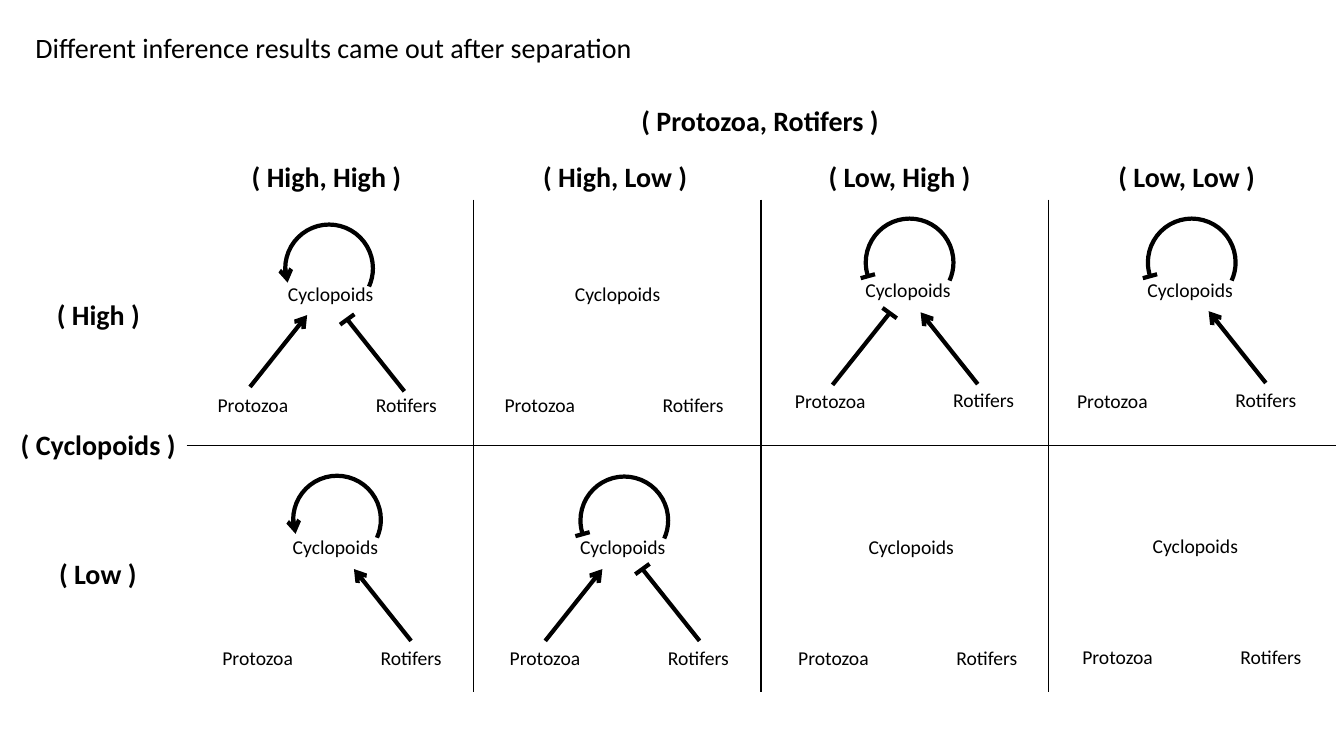
"""Build a slide comparing inferred plankton interactions by abundance class."""
from lxml.etree import SubElement
from pptx import Presentation
from pptx.dml.color import RGBColor
from pptx.enum.shapes import MSO_CONNECTOR, MSO_SHAPE
from pptx.enum.text import MSO_ANCHOR, PP_ALIGN
from pptx.oxml.ns import qn
from pptx.util import Cm, Pt

BLACK = "000000"


def write_text(box, text, size=20, bold=False, align=PP_ALIGN.CENTER, color=BLACK):
    frame = box.text_frame
    frame.word_wrap = False
    frame.vertical_anchor = MSO_ANCHOR.TOP
    para = frame.paragraphs[0]
    para.alignment = align
    span = para.add_run()
    span.text = text
    span.font.name = "Calibri"
    span.font.size = Pt(size)
    span.font.bold = bold
    span.font.color.rgb = RGBColor.from_string(color)


def style_stroke(shape, arrow_end=None, color=BLACK):
    shape.line.width = Pt(3)
    shape.line.color.rgb = RGBColor.from_string(color)
    properties = shape.element.find(qn("p:spPr"))
    if arrow_end:
        SubElement(properties.find(qn("a:ln")), qn(f"a:{arrow_end}"), type="arrow")
    if properties.find(qn("a:effectLst")) is None:
        SubElement(properties, qn("a:effectLst"))


deck = Presentation()
deck.slide_width, deck.slide_height = Cm(33.87), Cm(19.05)
page = deck.slides.add_slide(deck.slide_layouts[5])
shapes = page.shapes

title = shapes.title
title.left, title.top, title.width, title.height = Cm(0.64), Cm(0.64), Cm(15.72), Cm(1.12)
write_text(title, "Different inference results came out after separation", align=PP_ALIGN.LEFT)

column_count, row_count = 4, 2
table = shapes.add_table(row_count, column_count, Cm(4.7), Cm(5.03), Cm(28.96), Cm(12.4)).table
table.first_row = table.horz_banding = False
for row in range(row_count):
    for column in range(column_count):
        cell = table.cell(row, column)
        inner_sides = {
            "lnL": column > 0,
            "lnR": column < column_count - 1,
            "lnT": row > 0,
            "lnB": row < row_count - 1,
        }
        for side, inner in inner_sides.items():
            border = SubElement(cell._tc.get_or_add_tcPr(), qn(f"a:{side}"), w="12700")
            paint = SubElement(border, qn("a:solidFill" if inner else "a:noFill"))
            if inner:
                SubElement(paint, qn("a:srgbClr"), val=BLACK)
        cell.fill.background()

headings = [
    ("( Protozoa, Rotifers )", 15.88, 2.49, 6.55),
    ("( High, High )", 6.07, 3.89, 4.32),
    ("( High, Low )", 13.41, 3.89, 4.19),
    ("( Low, High )", 20.6, 3.89, 4.14),
    ("( Low, Low )", 27.91, 3.89, 3.99),
    ("( Cyclopoids )", 0.25, 10.64, 4.45),
    ("( High )", 1.17, 7.37, 2.62),
    ("( Low )", 1.22, 13.89, 2.49),
]
for text, left, top, width in headings:
    box = shapes.add_textbox(Cm(left), Cm(top), Cm(width), Cm(1.12))
    write_text(box, text, bold=True)

panels = [
    (6.99, 6.99), (14.22, 6.99), (21.54, 6.88), (28.65, 6.88),
    (7.11, 13.36), (14.35, 13.36), (21.62, 13.36), (28.78, 13.34),
]
species = [("Cyclopoids", 0, 0, 2.69), ("Protozoa", -1.77, 2.79, 2.31), ("Rotifers", 2.21, 2.78, 2.08)]
for panel_left, panel_top in panels:
    for name, across, down, width in species:
        box = shapes.add_textbox(Cm(panel_left + across), Cm(panel_top + down), Cm(width), Cm(0.86))
        write_text(box, name, size=14)

strokes = []
loops = [
    (7.19, 5.66, "promotes"), (21.82, 5.51, "inhibits"), (28.93, 5.51, "inhibits"),
    (7.39, 11.99, "promotes"), (14.63, 12.01, "inhibits"),
]
for left, top, effect in loops:
    loop = shapes.add_shape(MSO_SHAPE.ARC, Cm(left), Cm(top), Cm(2.21), Cm(2.21))
    loop.adjustments[0], loop.adjustments[1] = 96.63, 14.658
    loop.fill.background()
    loop.shadow.inherit = False
    style_stroke(loop, "headEnd" if effect == "promotes" else None)
    if effect == "inhibits":
        strokes.append((left - 0.13, top + 1.5, left + 0.23, top + 1.4, None))

toward_right, toward_left = 1, -1
links = [
    (6.3, 9.75, toward_right, "promotes"), (10.19, 9.86, toward_left, "inhibits"),
    (20.98, 9.7, toward_right, "inhibits"), (24.64, 9.68, toward_left, "promotes"),
    (31.9, 9.65, toward_left, "promotes"), (10.36, 16.15, toward_left, "promotes"),
    (13.74, 16.15, toward_right, "promotes"), (17.63, 16.15, toward_left, "inhibits"),
]
for left, top, direction, effect in links:
    tip_left, tip_top = left + direction * 1.44, top - 1.81
    strokes.append((left, top, tip_left, tip_top, "tailEnd" if effect == "promotes" else None))
    if effect == "inhibits":
        reach = direction * 0.18
        strokes.append((tip_left - reach, tip_top - 0.13, tip_left + reach, tip_top + 0.13, None))

for start_left, start_top, end_left, end_top, arrow_end in strokes:
    stroke = shapes.add_connector(
        MSO_CONNECTOR.STRAIGHT, Cm(start_left), Cm(start_top), Cm(end_left), Cm(end_top)
    )
    style_stroke(stroke, arrow_end)

deck.save("out.pptx")
